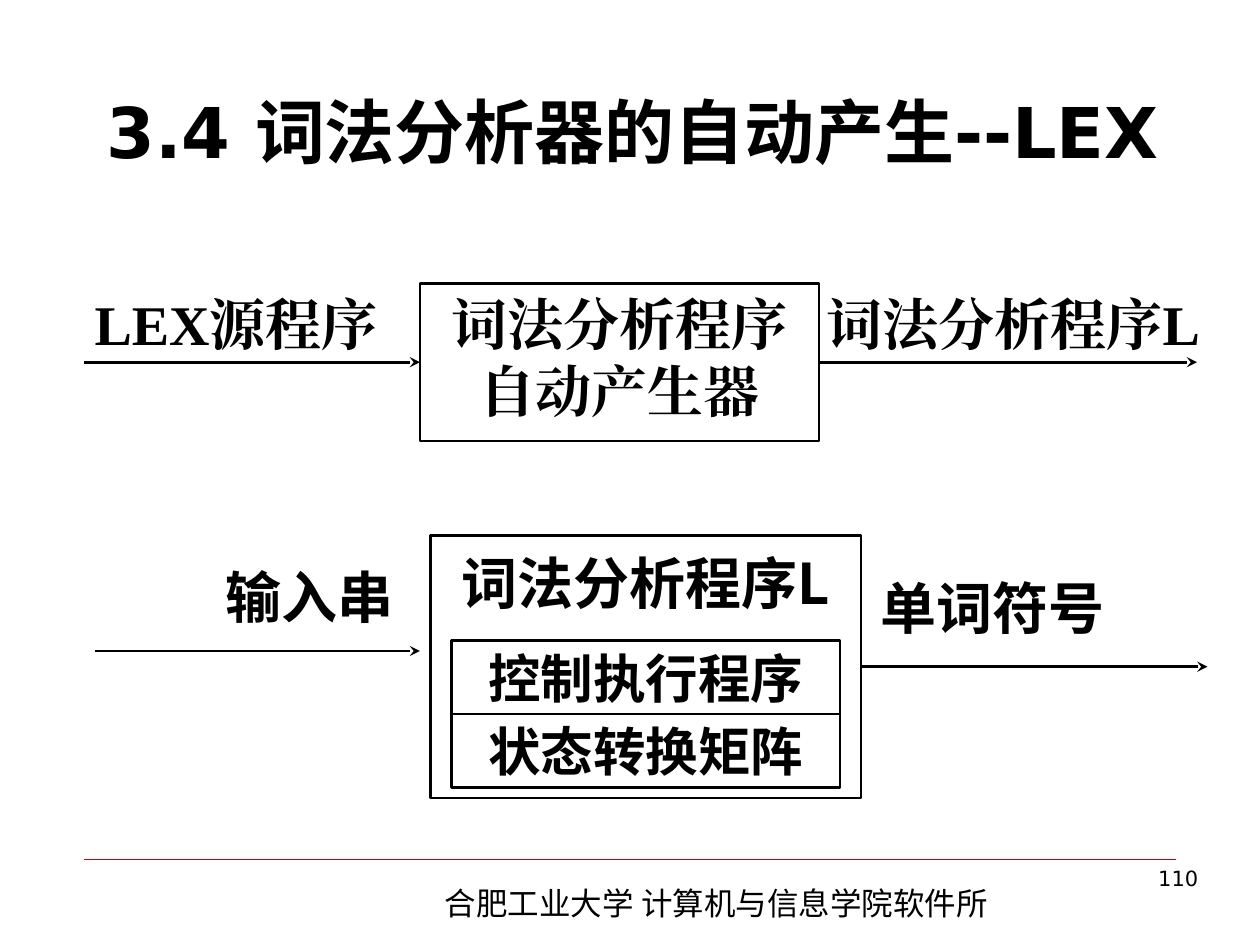
from lxml.etree import SubElement
from pptx import Presentation
from pptx.dml.color import RGBColor
from pptx.enum.shapes import MSO_CONNECTOR, MSO_SHAPE
from pptx.enum.text import MSO_ANCHOR as Anchor, PP_ALIGN as Align
from pptx.oxml.ns import qn
from pptx.util import Inches, Pt

UNIT = Inches(10) / 120  # the slide is a grid of 120 columns by 90 rows
SANS, CJK, SERIF = "DejaVu Sans", "Noto Sans CJK SC", "Times New Roman"
TOP, LEFT, BOTTOM, RIGHT = range(4)


def grid(*cells):
    return [round(cell * UNIT) for cell in cells]


def color(hex_value):
    return RGBColor.from_string(hex_value)


def write(shape, text, face=CJK, size=32, bold=True, align=Align.CENTER,
          anchor=Anchor.TOP, wrap=True, spacing=None):
    frame = shape.text_frame
    frame.word_wrap = wrap
    frame.vertical_anchor = anchor
    paragraph = frame.paragraphs[0]
    paragraph.alignment = align
    paragraph.line_spacing = spacing
    run = paragraph.add_run()
    run.text = text
    font = run.font
    font.name, font.size, font.bold = face, Pt(size), bold
    font.color.rgb = color("000000")
    SubElement(run._r.get_or_add_rPr(), qn("a:ea"), typeface=face)


def label(slide, box, text, **style):
    write(slide.shapes.add_textbox(*grid(*box)), text, **style)


def block(slide, box, text, **style):
    """Outlined rectangle with text."""
    shape = slide.shapes.add_shape(MSO_SHAPE.RECTANGLE, *grid(*box))
    shape.shadow.inherit = False
    shape.fill.background()
    shape.line.color.rgb = color("000000")
    shape.line.width = Pt(1.5)
    write(shape, text, **style)
    return shape


def rule(slide, start, end, row, ink="000000", width=1.5):
    """Horizontal line between two columns."""
    line = slide.shapes.add_connector(
        MSO_CONNECTOR.STRAIGHT, *grid(start, row, end, row))
    line.line.color.rgb = color(ink)
    line.line.width = Pt(width)
    SubElement(line._element.spPr, qn("a:effectLst"))
    return line


def arrow(slide, start, end, row):
    line = rule(slide, start, end, row)
    SubElement(line.line._get_or_add_ln(), qn("a:tailEnd"), type="stealth")
    return line


def title(slide, box):
    label(slide, box, "3.4 词法分析器的自动产生--LEX", face=SANS, size=40,
          align=Align.LEFT, anchor=Anchor.BOTTOM)


def generator_stage(slide, box):
    """LEX source goes in, analyser L comes out."""
    left, top, width, height = box
    right, middle = left + width, top + height / 2
    generator = block(slide, box, "词法分析程序自动产生器", face=SERIF)
    label(slide, (left - 34, top, 33, 8), "LEX源程序", face=SERIF)
    label(slide, (right - 2, top, 41, 8), "词法分析程序L", face=SERIF)
    arrow(slide, left - 32, left, middle).end_connect(generator, LEFT)
    arrow(slide, right, right + 36, middle).begin_connect(generator, RIGHT)


def analyser_stage(slide, box):
    """Input string goes in, word symbols come out."""
    left, top, width, height = box
    right, middle = left + width, top + height / 2
    analyser = block(slide, box, "词法分析程序L", spacing=1.1)
    label(slide, (left - 28, top + 2, 33, 8), "输入串")
    label(slide, (right - 4, top + 3, 33, 8), "单词符号")
    arrow(slide, left - 32, left - 1, top + 11)
    arrow(slide, right, right + 33, middle).begin_connect(analyser, RIGHT)
    for index, part in enumerate(("控制执行程序", "状态转换矩阵")):
        block(slide, (left + 2, top + 10 + 7 * index, width - 4, 7), part,
              size=30, anchor=Anchor.MIDDLE, wrap=False)


def footer(slide, box):
    left, top, width, height = box
    rule(slide, left, left + width, top, ink="CC0000", width=0.25)
    label(slide, (left + 33.2, top + 1.8, 56.6, 4.8),
          "合肥工业大学 计算机与信息学院软件所",
          size=18, bold=False, align=Align.LEFT)
    label(slide, (left + 81.3, top, 26, height), "110",
          face=SANS, size=12, bold=False, align=Align.RIGHT)


def main():
    deck = Presentation()
    deck.slide_width, deck.slide_height = grid(120, 90)
    slide = deck.slides.add_slide(deck.slide_layouts[6])
    footer(slide, (8, 81.8, 104, 6.2))
    title(slide, (9, 7, 103, 10))
    generator_stage(slide, (40, 27, 38, 15))
    analyser_stage(slide, (41, 51, 41, 25))
    deck.save("out.pptx")


if __name__ == "__main__":
    main()
